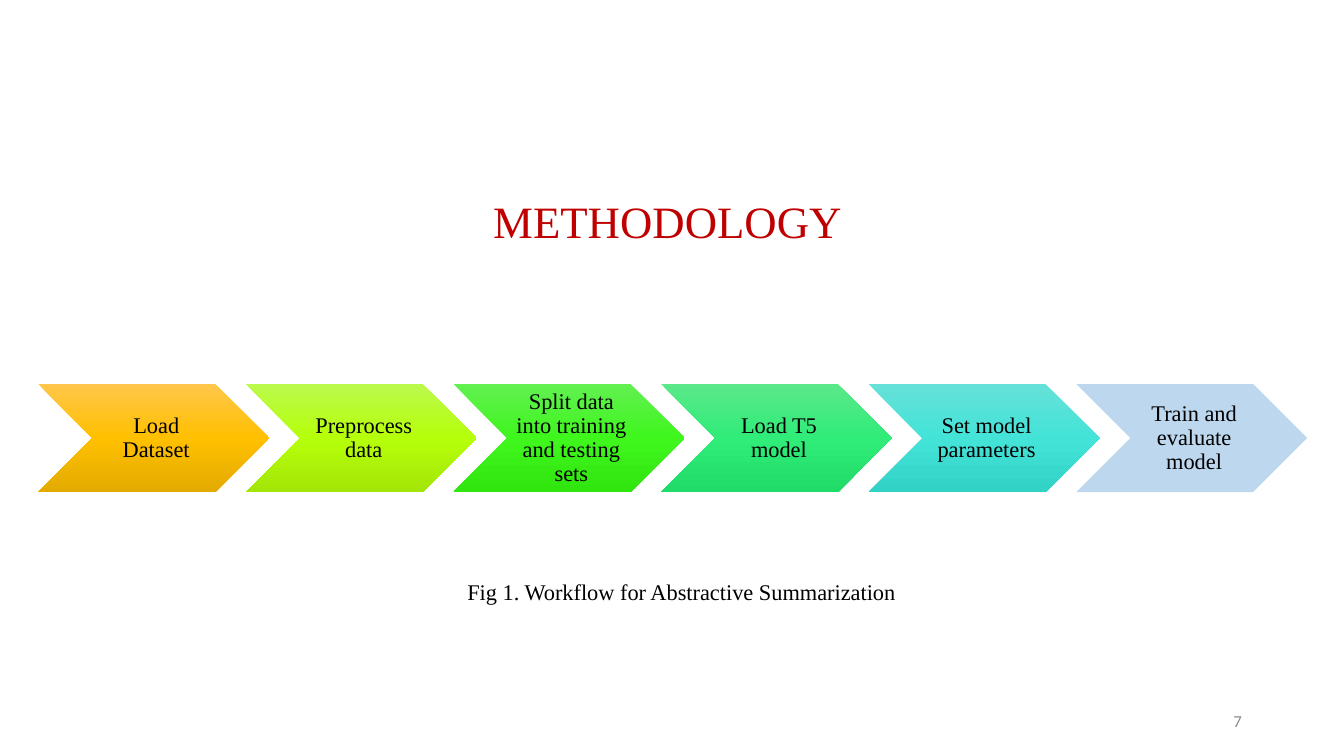
from copy import deepcopy

from pptx import Presentation
from pptx.dml.color import RGBColor
from pptx.enum.shapes import MSO_SHAPE
from pptx.enum.text import MSO_ANCHOR, PP_ALIGN
from pptx.oxml.ns import qn
from pptx.util import Cm, Pt

CHEVRON = MSO_SHAPE.CHEVRON
MIDDLE, TOP = MSO_ANCHOR.MIDDLE, MSO_ANCHOR.TOP
CENTER, RIGHT = PP_ALIGN.CENTER, PP_ALIGN.RIGHT

SERIF, SANS = "Times New Roman", "Calibri"
BLANK_LAYOUT = 6
STEP_PITCH = 0.9

COLORS = {
    "title": "C00000",
    "text": "000000",
    "number": "8C8C8C",
    "amber": ("FFC64B", "FFC000", "E3AB00"),
    "lime": ("BBF94D", "B6FF0A", "A3E506"),
    "green": ("62F052", "3FF61D", "31E50F"),
    "emerald": ("5BE88A", "30EC79", "21DB69"),
    "turquoise": ("66E1D8", "43E3D8", "33D2C7"),
    "pale_blue": ("BDD7EE",),
}

STEPS = [
    ("Load Dataset", "amber"),
    ("Preprocess data", "lime"),
    ("Split data into training and testing sets", "green"),
    ("Load T5 model", "emerald"),
    ("Set model parameters", "turquoise"),
    ("Train and evaluate model", "pale_blue"),
]


def write_text(shape, text, size=16, font=SERIF, color="text", align=CENTER,
               anchor=MIDDLE, line_spacing=1.0, margins=(0.25, 0.13, 0.25, 0.13)):
    """Put one formatted paragraph into a shape."""
    frame = shape.text_frame
    frame.word_wrap = True
    frame.vertical_anchor = anchor
    (frame.margin_left, frame.margin_top,
     frame.margin_right, frame.margin_bottom) = map(Cm, margins)
    paragraph = frame.paragraphs[0]
    paragraph.alignment = align
    paragraph.line_spacing = line_spacing
    run = paragraph.add_run()
    run.text = text
    run.font.size = Pt(size)
    run.font.name = font
    run.font.color.rgb = RGBColor.from_string(COLORS[color])


def fill_shape(shape, shades):
    """Fill a shape with one colour or with an even top-to-bottom gradient."""
    fill = shape.fill
    if len(shades) == 1:
        fill.solid()
        fill.fore_color.rgb = RGBColor.from_string(shades[0])
        return
    fill.gradient()
    fill.gradient_angle = 270
    stop_list = shape.element.spPr.find(".//" + qn("a:gsLst"))
    while len(stop_list) < len(shades):
        stop_list.append(deepcopy(stop_list[0]))
    for index, (stop, shade) in enumerate(zip(fill.gradient_stops, shades)):
        stop.position = index / (len(shades) - 1)
        stop.color.rgb = RGBColor.from_string(shade)


def add_label(slide, box, text, **text_format):
    """Add a text box that fills the given box."""
    write_text(slide.shapes.add_textbox(*map(Cm, box)), text, **text_format)


def add_workflow(slide, box, steps):
    """Spread a row of chevron steps over the given box."""
    left, top, width, height = box
    step_width = width / (1 + STEP_PITCH * (len(steps) - 1))
    for index, (text, color) in enumerate(steps):
        step_left = left + index * STEP_PITCH * step_width
        chevron = slide.shapes.add_shape(
            CHEVRON, Cm(step_left), Cm(top), Cm(step_width), Cm(height))
        chevron.shadow.inherit = False
        chevron.line.fill.background()
        fill_shape(chevron, COLORS[color])
        write_text(chevron, text, line_spacing=0.9, margins=(0.17, 0.05, 0.05, 0.05))


def build_methodology_slide(presentation):
    """Add the slide with its title, workflow, caption and number."""
    slide = presentation.slides.add_slide(presentation.slide_layouts[BLANK_LAYOUT])
    add_label(slide, (2.34, 4.29, 29.21, 2.36), "METHODOLOGY ",
              size=32, color="title", line_spacing=1.15)
    add_workflow(slide, (0.97, 9.68, 31.97, 2.72), STEPS)
    add_label(slide, (9.6, 14.45, 15.29, 0.94),
              "Fig 1. Workflow for Abstractive Summarization ", anchor=TOP)
    add_label(slide, (23.93, 17.65, 7.62, 1.02), "7",
              size=12, font=SANS, color="number", align=RIGHT)


def main():
    """Build and save the presentation."""
    presentation = Presentation()
    presentation.slide_width = Cm(33.87)
    presentation.slide_height = Cm(19.05)
    build_methodology_slide(presentation)
    presentation.save("out.pptx")


if __name__ == "__main__":
    main()
